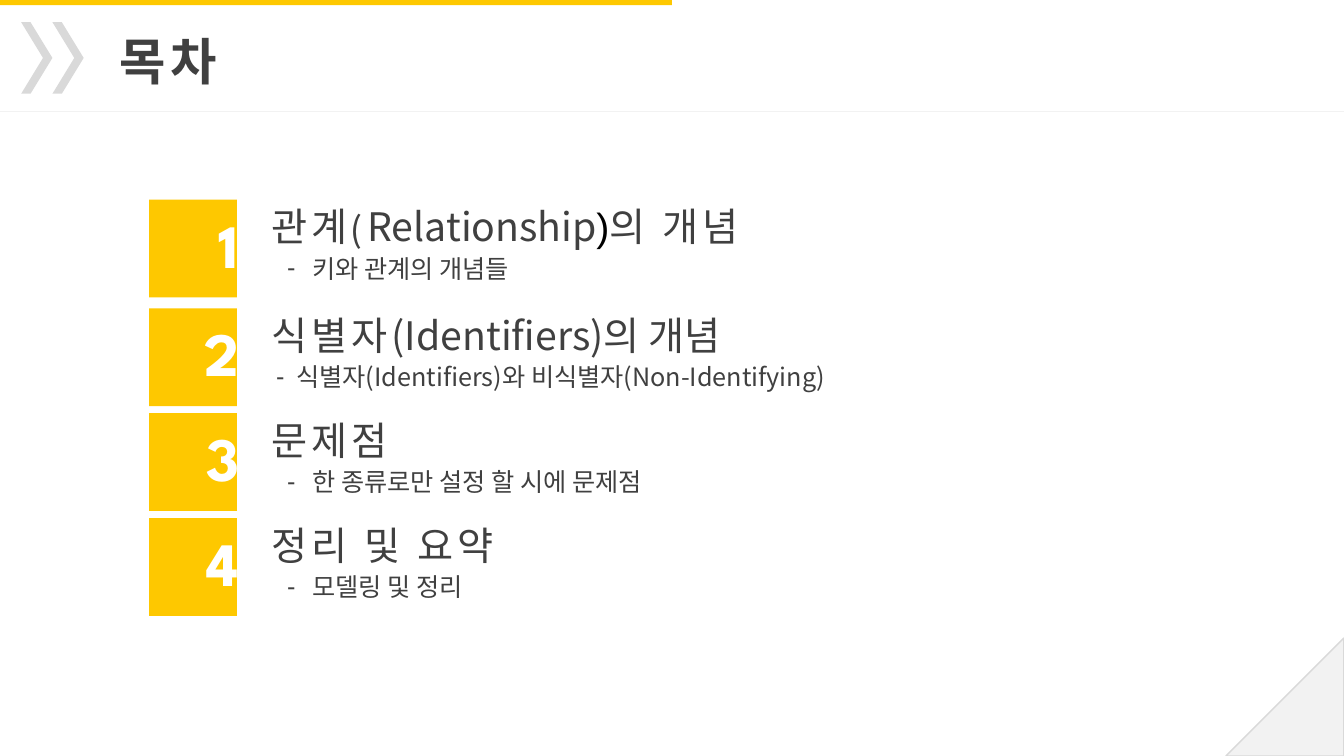
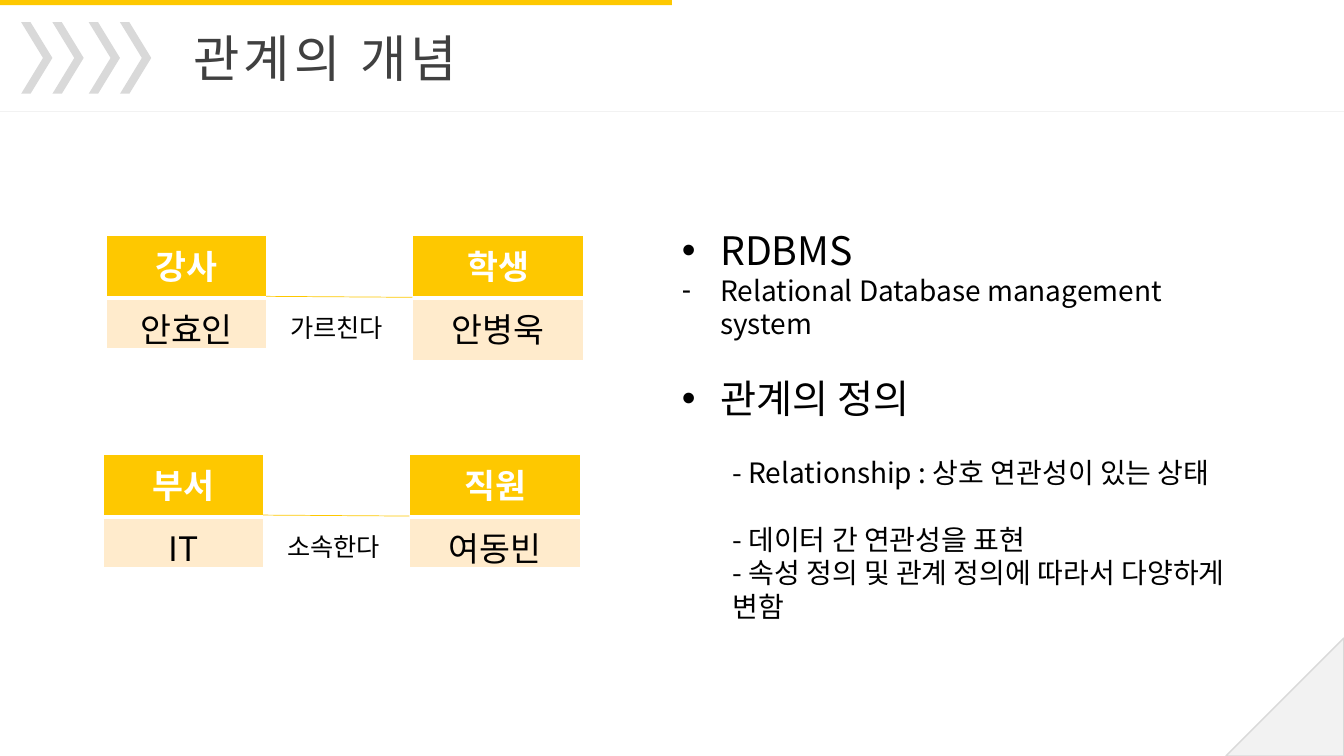
from lxml import etree
from pptx import Presentation
from pptx.dml.color import RGBColor
from pptx.enum.shapes import MSO_CONNECTOR as LINE, MSO_SHAPE as SHAPE
from pptx.enum.text import PP_ALIGN as ALIGN
from pptx.oxml.ns import qn
from pptx.util import Inches, Pt

# Shared look
WIDTH, HEIGHT = 13.33, 7.5
GOLD, CREAM, WHITE, BLACK = "FEC800", "FFEBCC", "FFFFFF", "000000"
INK, SILVER, MIST = "404040", "D9D9D9", "F2F2F2"
SPARTAN, NOTO, CALIBRI, ARIAL = "League Spartan", "Noto Sans CJK KR", "Calibri", "Arial"
TITLE = dict(size=36, font=SPARTAN, color=INK, spacing=3)
HEAD = dict(size=28, font=SPARTAN, color=INK, spacing=3)
HEAD_TIGHT = {**HEAD, "font": NOTO, "spacing": 0}
SUB = dict(size=18, font=CALIBRI, color=INK)
NUMBER = dict(size=44, font=SPARTAN, color=WHITE, bold=True)
VERB = dict(size=18, font=CALIBRI, color=BLACK)
BIG = dict(size=28, font=NOTO, color=BLACK)
SMALL = {**BIG, "size": 20}
CELL = dict(size=24, font=NOTO, color=BLACK)
CELL_HEAD = {**CELL, "color": WHITE, "bold": True}

# Contents: box top, heading runs, sub line, sub format, (text indent, hanging indent)
WIDE, NARROW = (0.52, -0.25), (0.36, -0.2)
AGENDA = [
    (1.98, [("관계(", HEAD), ("Relationship", HEAD_TIGHT),
            (")", {**HEAD_TIGHT, "font": ARIAL, "color": BLACK}), ("의 개념", HEAD)],
     "키와 관계의 개념들", SUB, WIDE),
    (3.06, [("식별자", {**HEAD, "font": NOTO}), ("(Identifiers)의 개념", HEAD_TIGHT)],
     "식별자(Identifiers)와 비식별자(Non-Identifying)", {**SUB, "font": NOTO}, NARROW),
    (4.1, [("문제점", HEAD)], "한 종류로만 설정 할 시에 문제점", SUB, WIDE),
    (5.14, [("정리 및 요약", HEAD)], "모델링 및 정리", SUB, WIDE),
]

# Relations: left, top, two entities (name, example, example row height), verb
RELATIONS = [
    (1.06, 2.34, [("강사", "안효인", 0.5), ("학생", "안병욱", 0.62)], "가르친다"),
    (1.03, 4.51, [("부서", "IT", 0.5), ("직원", "여동빈", 0.5)], "소속한다"),
]
ENTITY_WIDTHS, ENTITY_GAP, HEADER_ROW = (1.58, 1.7), 1.45, 0.62

# Notes: text, format, bullet, (left, first line), line height, space before
HANG, INSET = (0.38, -0.38), (0.5, 0)
NOTES = [
    ("RDBMS", BIG, "•", HANG, 36, 0),
    ("Relational Database management system", SMALL, "-", HANG, 24, 0),
    ("관계의 정의", BIG, "•", HANG, 34, 24),
    ("- Relationship : 상호 연관성이 있는 상태", SMALL, None, INSET, 24, 24),
    ("- 데이터 간 연관성을 표현", SMALL, None, INSET, 24, 24),
    ("- 속성 정의 및 관계 정의에 따라서 다양하게 변함", SMALL, None, INSET, 24, 0),
]


def rgb(value):
    return RGBColor.from_string(value)


def add_run(paragraph, text, style):
    run = paragraph.add_run()
    run.text = text
    font = run.font
    for key, value in (("size", Pt(style["size"])), ("name", style["font"]),
                       ("bold", style.get("bold", False))):
        setattr(font, key, value)
    font.color.rgb = rgb(style["color"])
    props = run._r.get_or_add_rPr()
    props.set("spc", str(style.get("spacing", 0) * 100))
    etree.SubElement(props, qn("a:ea")).set("typeface", NOTO)


def indent(paragraph, left, first, bullet=None):
    props = paragraph._p.get_or_add_pPr()
    props.set("marL", str(Inches(left)))
    props.set("indent", str(Inches(first)))
    if bullet:
        etree.SubElement(props, qn("a:buFont")).set("typeface", ARIAL)
        etree.SubElement(props, qn("a:buChar")).set("char", bullet)


def text_frame(slide, *box):
    frame = slide.shapes.add_textbox(*map(Inches, box)).text_frame
    frame.word_wrap = True
    return frame


def add_text(slide, box, runs, align=ALIGN.LEFT):
    paragraph = text_frame(slide, *box).paragraphs[0]
    paragraph.alignment = align
    for text, style in runs:
        add_run(paragraph, text, style)
    return paragraph


def add_block(slide, kind, box, fill, line=None):
    block = slide.shapes.add_shape(kind, *map(Inches, box))
    block.shadow.inherit = False
    block.fill.solid()
    block.fill.fore_color.rgb = rgb(fill)
    if line:
        block.line.color.rgb = rgb(line)
        block.line.width = Pt(1)
    else:
        block.line.fill.background()
    return block


def add_rule(slide, ends, color):
    rule = slide.shapes.add_connector(LINE.STRAIGHT, *map(Inches, ends))
    rule.line.color.rgb = rgb(color)
    rule.line.width = Pt(0.5)
    etree.SubElement(rule._element.spPr, qn("a:effectLst"))


def add_base(deck, title, style, left, top, chevron_lefts):
    """Slide with corner fold, top band, title, rule and chevrons."""
    slide = deck.slides.add_slide(deck.slide_layouts[6])
    fold = 1.17
    corner = add_block(slide, SHAPE.RIGHT_TRIANGLE,
                       (WIDTH - fold, HEIGHT - fold, fold, fold), MIST, SILVER)
    corner._element.spPr.find(qn("a:xfrm")).set("flipH", "1")
    add_block(slide, SHAPE.RECTANGLE, (0, 0, WIDTH / 2, 0.05), GOLD)
    add_text(slide, (left, top, 6, 0.71), [(title, style)])
    add_rule(slide, (0, 1.1, WIDTH, 1.1), MIST)
    for x in chevron_lefts:
        chevron = add_block(slide, SHAPE.CHEVRON, (x, 0.22, 0.31, 0.71), SILVER)
        chevron.adjustments[0] = 0.7
    return slide


def add_entity(slide, left, top, width, name, example, row_height):
    heights = (HEADER_ROW, row_height)
    table = slide.shapes.add_table(2, 1, *map(Inches, (left, top, width, sum(heights)))).table
    table.columns[0].width = Inches(width)
    rows = ((name, CELL_HEAD, GOLD, 3, 1), (example, CELL, CREAM, 1, 3))
    for i, (text, style, fill, below, above) in enumerate(rows):
        table.rows[i].height = Inches(heights[i])
        cell = table.cell(i, 0)
        paragraph = cell.text_frame.paragraphs[0]
        paragraph.alignment = ALIGN.CENTER
        add_run(paragraph, text, style)
        props = cell._tc.get_or_add_tcPr()
        for side, points in (("L", 1), ("R", 1), ("T", above), ("B", below)):
            border = etree.SubElement(props, qn("a:ln" + side), w=str(Pt(points)))
            solid = etree.SubElement(border, qn("a:solidFill"))
            etree.SubElement(solid, qn("a:srgbClr")).set("val", WHITE)
        cell.fill.solid()
        cell.fill.fore_color.rgb = rgb(fill)


def build_agenda(deck):
    slide = add_base(deck, "목차", {**TITLE, "bold": True}, 1.09, 0.25, (0.21, 0.52))
    for number, (top, heading, sub, sub_style, margins) in enumerate(AGENDA, 1):
        add_block(slide, SHAPE.RECTANGLE, (1.48, top, 0.87, 0.97), GOLD)
        add_text(slide, (2.59, top - 0.02, 7, 0.57), heading)
        line = add_text(slide, (2.48, top + 0.48, 10.7, 0.4), [(sub, sub_style)])
        indent(line, *margins, bullet="-")
        add_text(slide, (1.72, top + 0.02, 0.75, 0.84), [(str(number), NUMBER)], ALIGN.RIGHT)


def build_relations(deck):
    slide = add_base(deck, "관계의 개념", TITLE, 1.82, 0.22, (0.21, 0.52, 0.88, 1.19))

    # Notes on the right half
    frame = text_frame(slide, WIDTH / 2, 2.16, 5.79, 4.07)
    for i, (text, style, bullet, margins, height, before) in enumerate(NOTES):
        paragraph = frame.add_paragraph() if i else frame.paragraphs[0]
        paragraph.line_spacing = Pt(height)
        if before:
            paragraph.space_before = Pt(before)
        indent(paragraph, *margins, bullet=bullet)
        add_run(paragraph, text, style)

    # Entity pairs joined by a verb
    for left, top, entities, verb in RELATIONS:
        x = left
        for width, entity in zip(ENTITY_WIDTHS, entities):
            add_entity(slide, x, top, width, *entity)
            x += width + ENTITY_GAP
        start = left + ENTITY_WIDTHS[0]
        add_rule(slide, (start, top + 0.6, start + ENTITY_GAP, top + 0.61), GOLD)
        add_text(slide, (start + 0.14, top + 0.71, 1.3, 0.4), [(verb, VERB)])


def main():
    deck = Presentation()
    deck.slide_width, deck.slide_height = Inches(WIDTH), Inches(HEIGHT)
    build_agenda(deck)
    build_relations(deck)
    deck.save("out.pptx")


if __name__ == "__main__":
    main()
